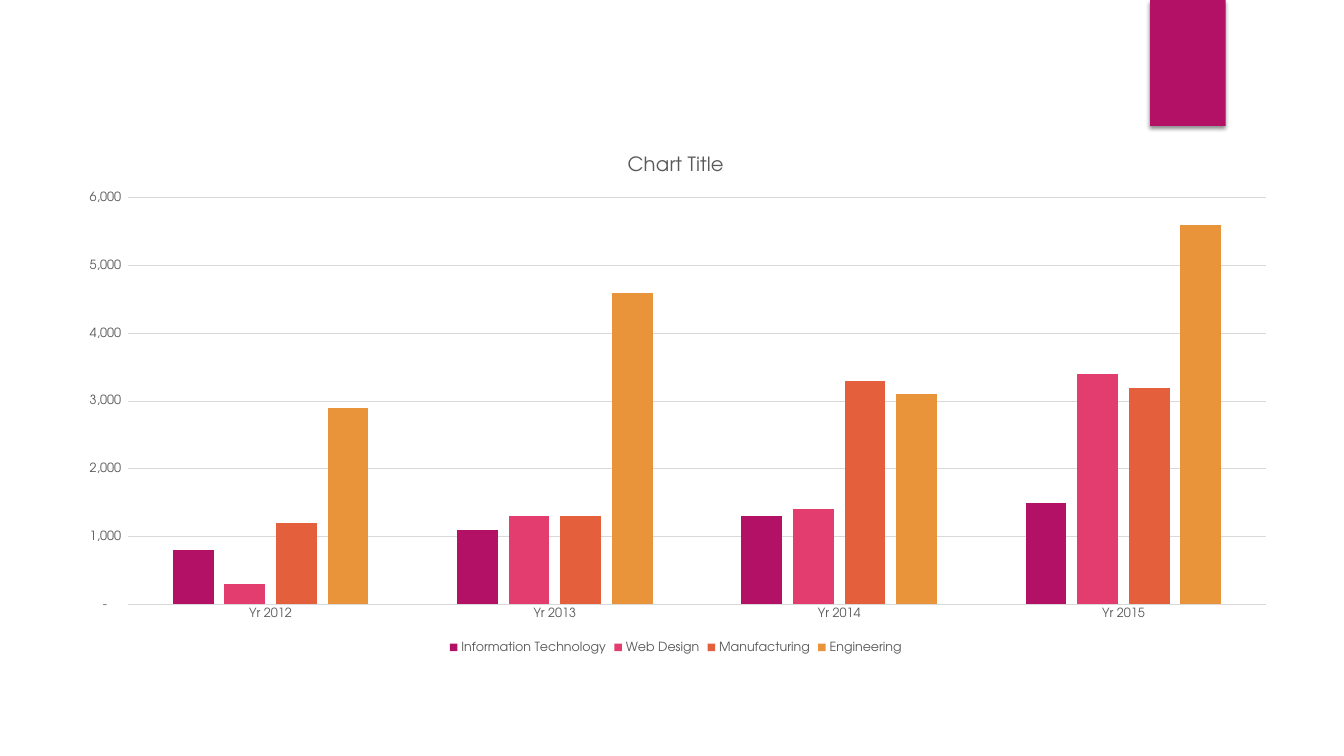
from lxml import etree
from pptx import Presentation
from pptx.chart.data import CategoryChartData
from pptx.dml.color import RGBColor
from pptx.enum.chart import XL_CHART_TYPE, XL_LEGEND_POSITION, XL_TICK_MARK
from pptx.enum.shapes import MSO_SHAPE
from pptx.oxml import parse_xml
from pptx.oxml.ns import nsdecls
from pptx.util import Pt

FONT = "TeX Gyre Adventor"
COLORS = {
    "tab": "B31166",
    "text": "595959",
    "grid": "D9D9D9",
    "shadow": "000000",
    "Information Technology": "B31166",
    "Web Design": "E33D6F",
    "Manufacturing": "E45F3C",
    "Engineering": "E9943A",
}
YEARS = ["Yr 2012", "Yr 2013", "Yr 2014", "Yr 2015"]
DEPARTMENTS = {
    "Information Technology": [800, 1100, 1300, 1500],
    "Web Design": [300, 1300, 1400, 3400],
    "Manufacturing": [1200, 1300, 3300, 3200],
    "Engineering": [2900, 4600, 3100, 5600],
}
NUMBER_FORMAT = '_(* #,##0_);_(* \\(#,##0\\);_(* "-"??_);_(@_)'


def rgb(name):
    return RGBColor.from_string(COLORS[name])


def style_font(font, size):
    font.name = FONT
    font.size = Pt(size)
    font.bold = False
    font.color.rgb = rgb("text")


def style_line(line):
    line.color.rgb = rgb("grid")
    line.width = Pt(0.75)


def add_shadow(sp, blur, dist, opacity):
    sp.shadow.inherit = False
    effects = sp.element.spPr.find("{*}effectLst")
    effects.append(parse_xml(
        f'<a:outerShdw {nsdecls("a")} blurRad="{Pt(blur)}" dist="{Pt(dist)}" '
        f'dir="5400000" algn="ctr" rotWithShape="0">'
        f'<a:srgbClr val="{COLORS["shadow"]}"><a:alpha val="{opacity * 1000}"/>'
        f'</a:srgbClr></a:outerShdw>'))


def add_tab(s, x, y, w, h):
    sp = s.shapes.add_shape(MSO_SHAPE.RECTANGLE, Pt(x), Pt(y), Pt(w), Pt(h))
    sp.fill.solid()
    sp.fill.fore_color.rgb = rgb("tab")
    sp.line.fill.background()
    add_shadow(sp, blur=3, dist=2, opacity=45)


def style_axes(chart):
    for axis in (chart.category_axis, chart.value_axis):
        axis.major_tick_mark = axis.minor_tick_mark = XL_TICK_MARK.NONE
        style_font(axis.tick_labels.font, 9)
    style_line(chart.category_axis.format.line)

    values = chart.value_axis
    values.minimum_scale, values.maximum_scale = 0, 6000
    values.major_unit = 1000
    values.format.line.fill.background()
    style_line(values.major_gridlines.format.line)
    values.tick_labels.number_format = NUMBER_FORMAT
    values.tick_labels.number_format_is_linked = False


def add_column_chart(s, x, y, w, h):
    data = CategoryChartData(number_format=NUMBER_FORMAT)
    data.categories = YEARS
    for name, values in DEPARTMENTS.items():
        data.add_series(name, values)
    chart = s.shapes.add_chart(XL_CHART_TYPE.COLUMN_CLUSTERED, Pt(x), Pt(y),
                               Pt(w), Pt(h), data).chart
    style_font(chart.font, 10)

    # Title
    p = chart.chart_title.text_frame.paragraphs[0]
    r = p.add_run()
    r.text = "Chart Title"
    style_font(r.font, 14)
    chart.chart_title.include_in_layout = False

    # Columns
    plot = chart.plots[0]
    plot.gap_width, plot.overlap = 219, -27
    plot.vary_by_categories = False
    for series in plot.series:
        series.format.fill.solid()
        series.format.fill.fore_color.rgb = rgb(series.name)
        series.invert_if_negative = False

    style_axes(chart)

    # Legend
    chart.has_legend = True
    chart.legend.position = XL_LEGEND_POSITION.BOTTOM
    chart.legend.include_in_layout = False
    style_font(chart.legend.font, 9)


def main():
    prs = Presentation()
    prs.slide_width, prs.slide_height = Pt(960), Pt(540)
    s = prs.slides.add_slide(prs.slide_layouts[6])
    add_tab(s, 821.5, 0, 54, 90)
    add_column_chart(s, 43.9, 96.5, 877.7, 373)
    prs.save("out.pptx")


main()
